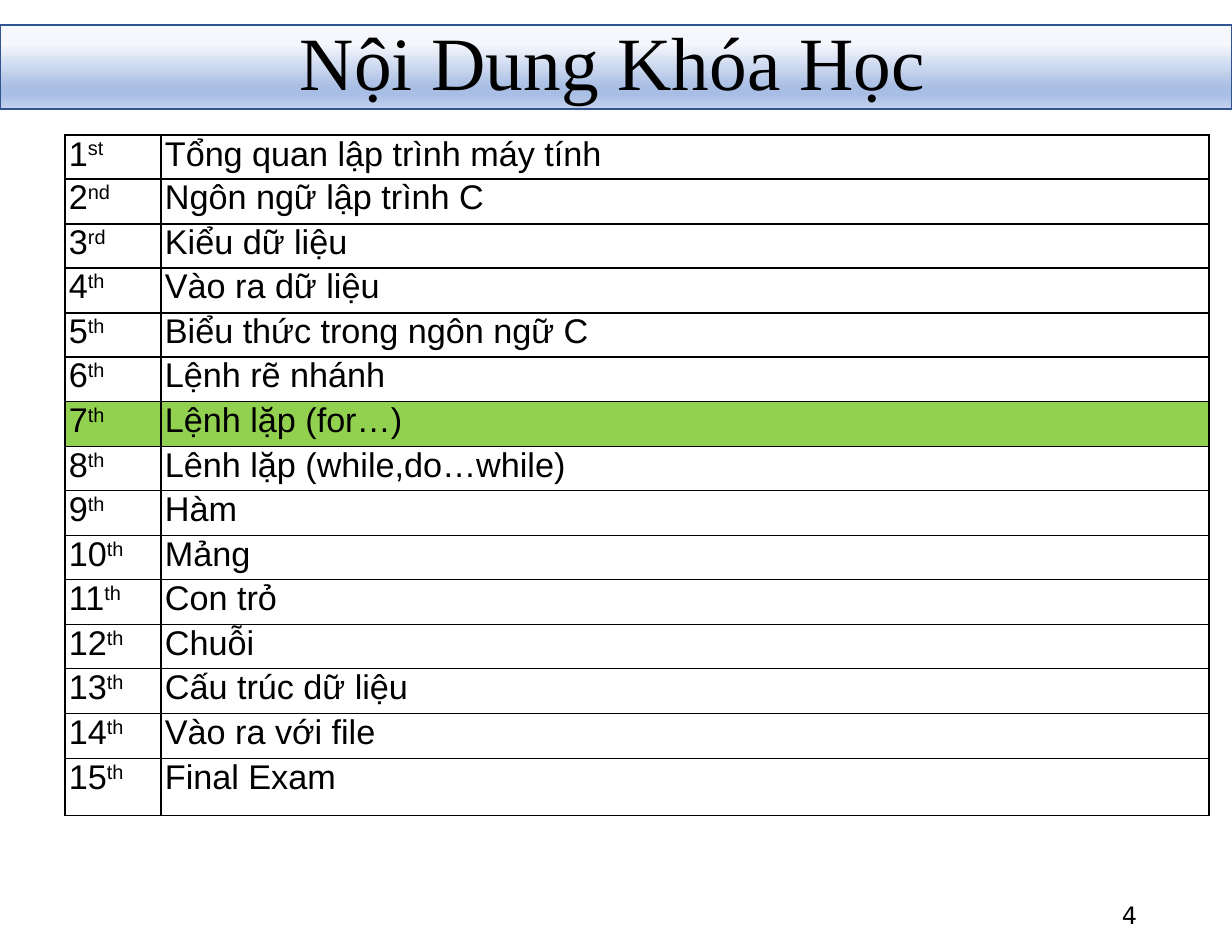
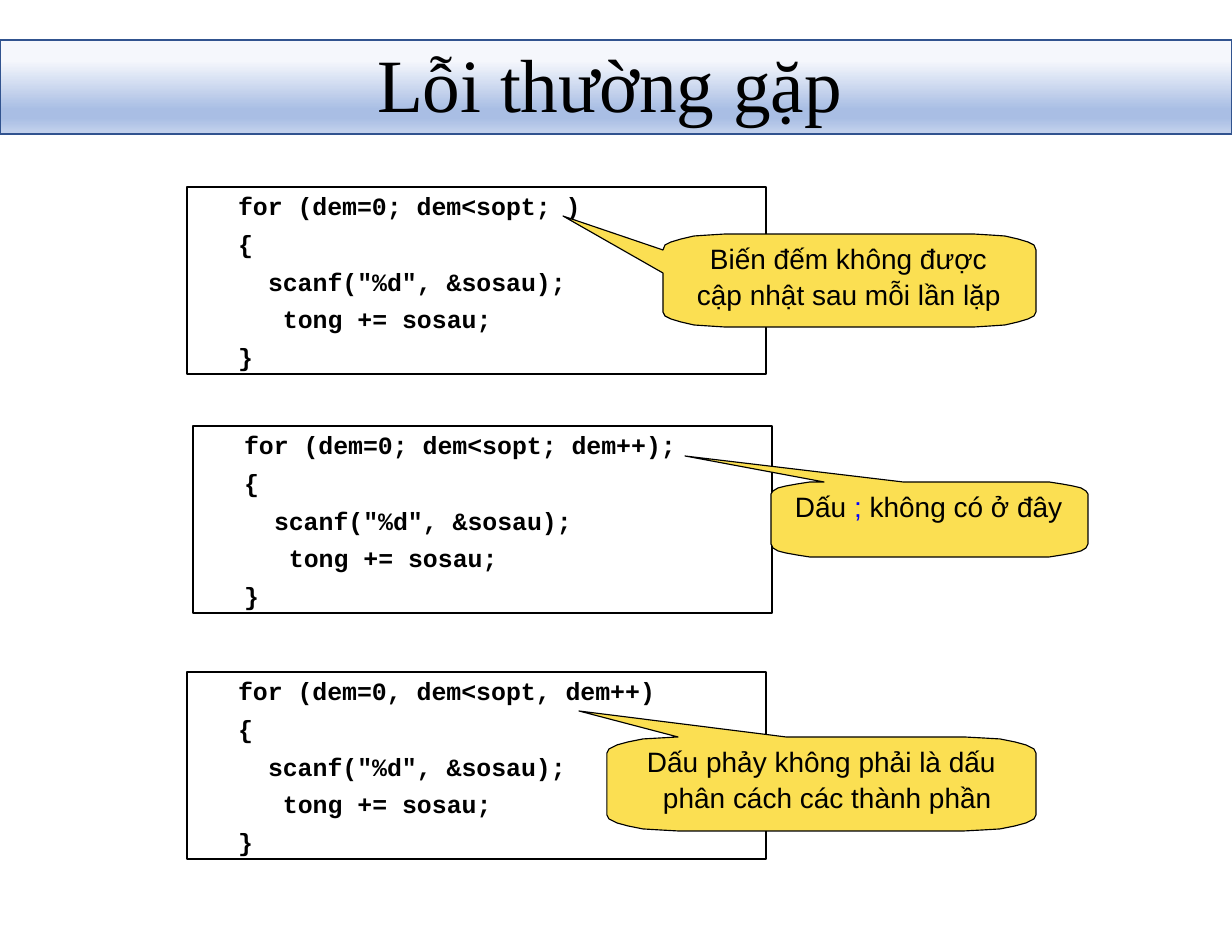
from math import cos, pi, sin

from lxml.etree import SubElement as Sub
from pptx import Presentation
from pptx.dml.color import RGBColor as Rgb
from pptx.enum.shapes import MSO_SHAPE as Geo
from pptx.enum.text import MSO_ANCHOR as Anchor, MSO_AUTO_SIZE as Auto, PP_ALIGN as Align
from pptx.oxml.ns import qn
from pptx.util import Pt

PX = 914400 / 112
WIDE, HIGH = 1232, 952
HUES = {
    "ink": "000000", "blue": "0000FF", "edge": "31538F", "note": "FBDF52",
    "mark": "92D050", "pale": "F5F7FC", "mid": "A9BEE4", "end": "C5D3ED",
}
FADE = [(0, "pale"), (22, "pale"), (74, "mid"), (83, "mid"), (100, "end")]
SERIF, SANS, MONO, PLAIN = "Times New Roman", "Arial", "Courier New", "DejaVu Sans"

TOPICS = [
    ("st", "Tổng quan lập trình máy tính"),
    ("nd", "Ngôn ngữ lập trình C"),
    ("rd", "Kiểu dữ liệu"),
    ("th", "Vào ra dữ liệu"),
    ("th", "Biểu thức trong ngôn ngữ C"),
    ("th", "Lệnh rẽ nhánh"),
    ("th", "Lệnh lặp (for…)"),
    ("th", "Lênh lặp (while,do…while)"),
    ("th", "Hàm"),
    ("th", "Mảng"),
    ("th", "Con trỏ"),
    ("th", "Chuỗi"),
    ("th", "Cấu trúc dữ liệu"),
    ("th", "Vào ra với file"),
    ("th", "Final Exam"),
]
TODAY = 7
LOOPS = [
    (187, 187, "for (dem=0; dem<sopt; )"),
    (193, 426, "for (dem=0; dem<sopt; dem++);"),
    (187, 672, "for (dem=0, dem<sopt, dem++)"),
]
BODY = [(1, "{"), (31, 'scanf("%d", &sosau);'), (46, "tong += sosau;"), (1, "}")]
NOTES = [
    ((663, 234, 373, 93), (563, 216), (695, 241, 307, 71),
     [(15, "Biến đếm không được"), (2, "cập nhật sau mỗi lần lặp")]),
    ((771, 482, 317, 75), (685, 456), (794, 488, 280, 37),
     [(1, "Dấu ", ";", " không có ở đây")]),
    ((607, 737, 429, 94), (579, 711), (646, 744, 365, 71),
     [(1, "Dấu phảy không phải là dấu"), (17, "phân cách các thành phần")]),
]


def emu(*sizes):
    return [round(size * PX) for size in sizes]


def tone(name):
    return Rgb.from_string(HUES[name])


class Deck:
    def __init__(self):
        self.prs = Presentation()
        self.prs.slide_width, self.prs.slide_height = emu(WIDE, HIGH)
        self.slide = None

    def style(self, run, font, size, hue="ink", bold=False):
        run.font.name, run.font.size, run.font.bold = font, Pt(size), bold
        run.font.color.rgb = tone(hue)

    def frame(self, shape, inset, anchor=Anchor.TOP):
        frame = shape.text_frame
        frame.word_wrap, frame.auto_size = True, Auto.NONE
        frame.vertical_anchor = anchor
        (frame.margin_left, frame.margin_top,
         frame.margin_right, frame.margin_bottom) = emu(*inset)
        return frame

    def line(self, shape, hue="ink", width=0.75):
        shape.shadow.inherit = False
        shape.line.color.rgb, shape.line.width = tone(hue), Pt(width)

    def add(self, title, box, inset, top, height, lead):
        self.slide = self.prs.slides.add_slide(self.prs.slide_layouts[5])
        self.band(top, height)
        head = self.slide.shapes.title
        head.left, head.top, head.width, head.height = emu(*box)
        frame = self.frame(head, inset, Anchor.MIDDLE)
        frame.text = title
        para = frame.paragraphs[0]
        para.alignment, para.line_spacing = Align.LEFT, lead
        self.style(para.runs[0], SERIF, 48.4)

    def band(self, top, height):
        shapes = self.slide.shapes
        band = shapes.add_shape(Geo.RECTANGLE, *emu(0, top, WIDE, height))
        self.line(band, "edge", 1)
        band.fill.gradient()
        band.fill.gradient_angle = 270
        stops = band._element.spPr.find(qn("a:gradFill")).find(qn("a:gsLst"))
        stops.clear()
        for place, name in FADE:
            stop = Sub(stops, qn("a:gs"), pos=str(place * 1000))
            Sub(stop, qn("a:srgbClr"), val=HUES[name])
        shapes._spTree.insert(2, band._element)

    def text(self, box, lines, font, size, gap=0, inset=(0, 1, 0, 0),
             bold=False, anchor=Anchor.TOP, align=Align.LEFT):
        frame = self.frame(self.slide.shapes.add_textbox(*emu(*box)), inset, anchor)
        frame.text = "\n".join(parts[0] for _, *parts in lines)
        for i, (para, (indent, *parts)) in enumerate(zip(frame.paragraphs, lines)):
            para.alignment = align
            para.space_before = Pt(gap if i else 0)
            para._p.get_or_add_pPr().set("marL", str(*emu(indent)))
            for part in parts[1:]:
                para.add_run().text = part
            for j, run in enumerate(para.runs):
                self.style(run, font, size, "blue" if j % 2 else "ink", bold)

    def cell(self, cell, parts, hue):
        (cell.margin_left, cell.margin_top,
         cell.margin_right, cell.margin_bottom) = emu(4, 0, 4, 0)
        props = cell._tc.get_or_add_tcPr()
        for side in "LRTB":
            edge = Sub(props, qn(f"a:ln{side}"), w=str(Pt(1)))
            fill = Sub(edge, qn("a:solidFill"))
            Sub(fill, qn("a:srgbClr"), val=HUES["ink"])
        if hue:
            cell.fill.solid()
            cell.fill.fore_color.rgb = tone(hue)
        else:
            cell.fill.background()
        cell.text = parts[0]
        para = cell.text_frame.paragraphs[0]
        para.alignment = Align.JUSTIFY
        for part in parts[1:]:
            run = para.add_run()
            run.text = part
            run._r.get_or_add_rPr().set("baseline", "30000")
        for run in para.runs:
            self.style(run, SANS, 22)

    def table(self, left, top, cols, rows, topics, mark):
        box = emu(left, top, sum(cols), sum(rows))
        table = self.slide.shapes.add_table(len(rows), len(cols), *box).table
        table.first_row = table.horz_banding = False
        for col, width in zip(table.columns, emu(*cols)):
            col.width = width
        for row, height in zip(table.rows, emu(*rows)):
            row.height = height
        for i, (suffix, topic) in enumerate(topics, 1):
            hue = "mark" if i == mark else None
            self.cell(table.cell(i - 1, 0), [str(i), suffix], hue)
            self.cell(table.cell(i - 1, 1), [topic], hue)

    def code(self, left, top, lines):
        box = self.slide.shapes.add_shape(Geo.RECTANGLE, *emu(left, top, 579, 187))
        box.fill.background()
        self.line(box)
        self.text((left + 50, top - 4, 437, 183), lines, MONO, 16, 5, (0, 8, 0, 0), True)

    def note(self, box, tip, area, lines):
        x, y, w, h = box
        rx, ry = w / 6, h / 6
        hubs = [(x + rx, y + ry), (x + w - rx, y + ry),
                (x + w - rx, y + h - ry), (x + rx, y + h - ry)]
        arcs = []
        for i, (cx, cy) in enumerate(hubs):
            turns = [pi * (1 + i / 2 + step / 12) for step in range(7)]
            arcs.append([(cx + rx * cos(t), cy + ry * sin(t)) for t in turns])
        if tip[1] < y - ry:
            arcs.insert(1, [tip, (x + w * 5 / 12, y)])
        if tip[0] < x and abs(tip[0] - x) > abs(tip[1] - y) * 5:
            arcs[1:] = [arcs[2], arcs[3], arcs[4], [(x, y + h * 5 / 12), tip]]
        dots = sum(arcs, [])
        build = self.slide.shapes.build_freeform(*dots[0], scale=PX)
        build.add_line_segments(dots[1:])
        shape = build.convert_to_shape()
        shape.fill.solid()
        shape.fill.fore_color.rgb = tone("note")
        self.line(shape)
        self.text(area, lines, SANS, 18, 1)

    def save(self):
        self.prs.save("out.pptx")


def main():
    deck = Deck()
    deck.add("Nội Dung Khóa Học", (289, -36, 1001, 205), (11, 6, 11, 6), 25, 84, 0.9)
    rows = [624 * (i + 1) // 14 - 624 * i // 14 for i in range(14)] + [57]
    deck.table(65, 135, [96, 1048], rows, TOPICS, TODAY)
    deck.text((993, 890, 155, 50), [(0, "4")], PLAIN, 15.4, inset=(11, 6, 11, 6),
              anchor=Anchor.MIDDLE, align=Align.RIGHT)

    deck.add("Lỗi thường gặp", (376, 39, 472, 85), (1, 1, 0, 0), 40, 94, 1.0)
    for left, top, head in LOOPS:
        deck.code(left, top, [(1, head), *BODY])
    for note in NOTES:
        deck.note(*note)
    deck.save()


if __name__ == "__main__":
    main()
